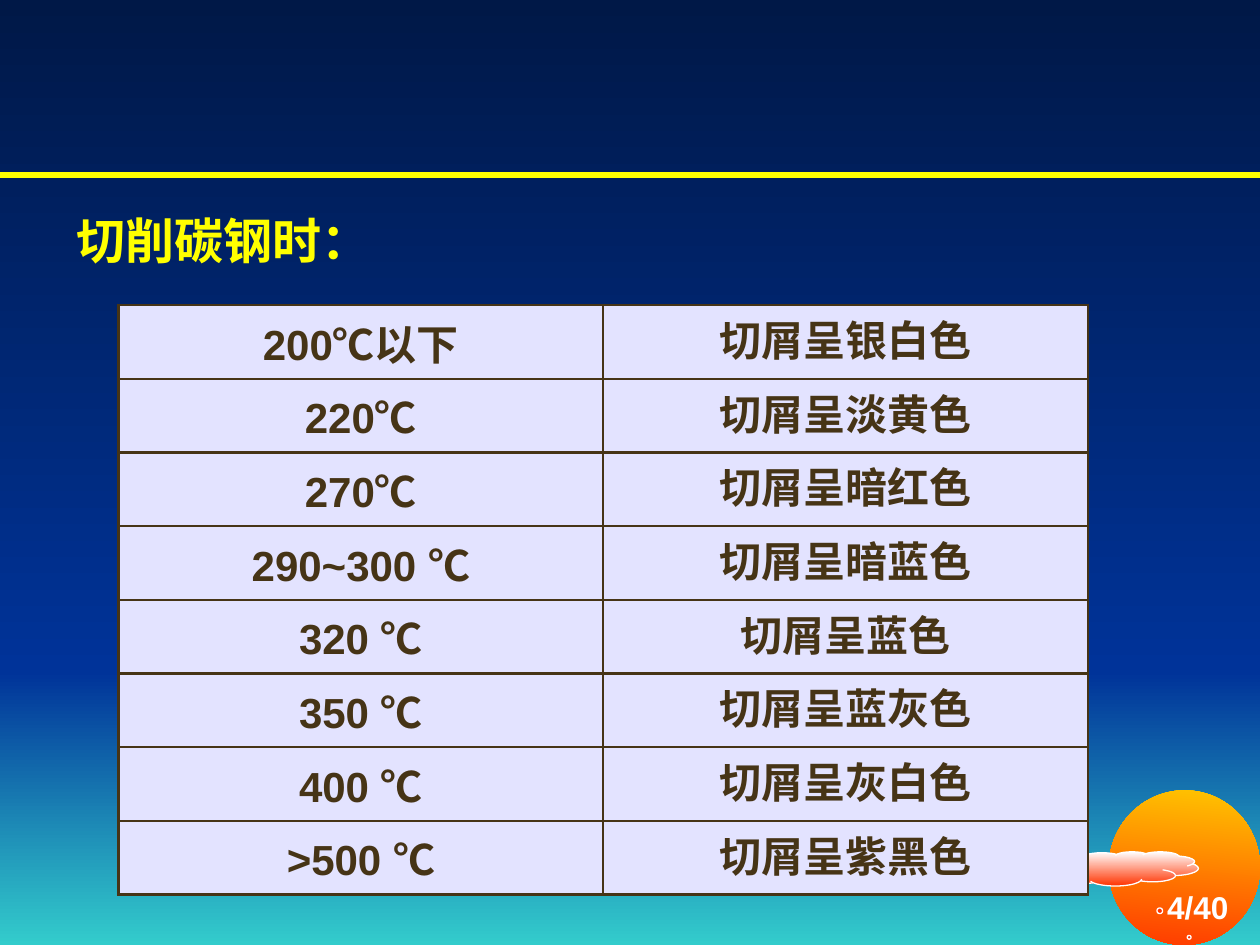
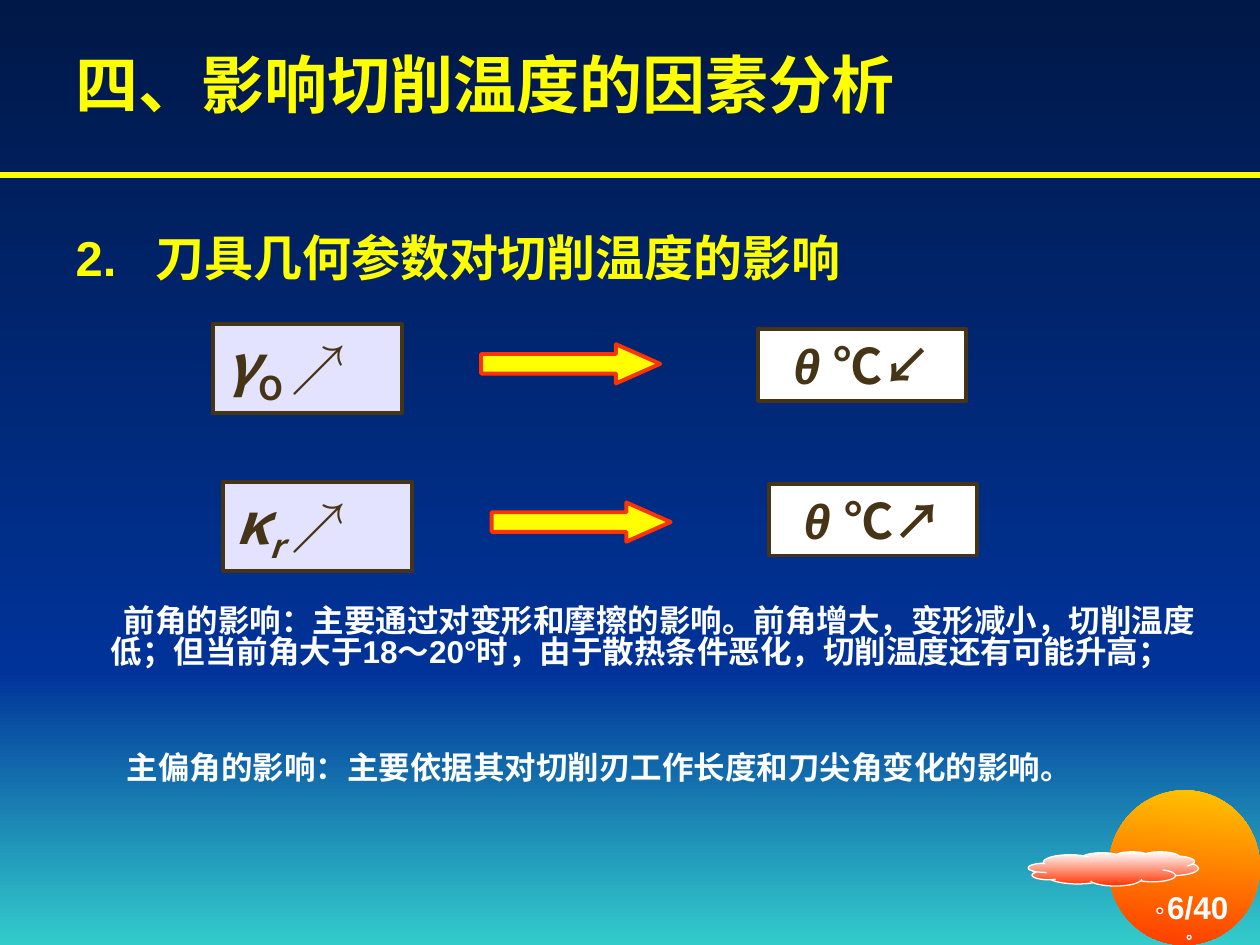
from pptx import Presentation
from pptx import util as u
from pptx.dml.color import RGBColor
from pptx.enum import shapes, text
from pptx.oxml.ns import qn
from lxml import etree

Cm, Pt = u.Cm, u.Pt
KIND = shapes.MSO_SHAPE
MID = text.PP_ALIGN.CENTER
LEFT = text.PP_ALIGN.LEFT
LATIN, HAN = "Arial", "Noto Sans CJK SC"
HUES = {
    "night": "001847", "blue": "003399", "sea": "33CCCC",
    "gold": "FFCC00", "red": "FF3300", "white": "FFFFFF",
    "yellow": "FFFF00", "brown": "463416", "pale": "E3E3FF",
}
PLACE = ("left", "top", "width", "height")
CHIPS = [
    ("200", "℃以下", "银白"),
    ("220", "℃", "淡黄"),
    ("270", "℃", "暗红"),
    ("290~300 ", "℃", "暗蓝"),
    ("320 ", "℃", "蓝"),
    ("350 ", "℃", "蓝灰"),
    ("400 ", "℃", "灰白"),
    (">500 ", "℃", "紫黑"),
]


def hue(name):
    return RGBColor.from_string(HUES[name])


def put(item, vals):
    for key, val in vals.items():
        setattr(item, key, val)


def box(*nums):
    return [Cm(n) for n in nums]


def paint(item, fill, line=None, width=1):
    if isinstance(fill, tuple):
        item.fill.gradient()
        item.fill.gradient_angle = 270
        for stop, name in zip(item.fill.gradient_stops, fill):
            stop.color.rgb = hue(name)
    else:
        item.fill.solid()
        item.fill.fore_color.rgb = hue(fill)
    if line:
        item.line.color.rgb = hue(line)
        item.line.width = Pt(width)
    else:
        item.line.fill.background()


def shape(slide, kind, place, fill, line=None, width=1, adjust=()):
    item = slide.shapes.add_shape(kind, *box(*place))
    item.shadow.inherit = False
    paint(item, fill, line, width)
    for n, val in enumerate(adjust):
        item.adjustments[n] = val
    return item


def write(para, runs, size, color, align=LEFT):
    para.alignment = align
    for words, face, *more in runs:
        run = para.add_run()
        run.text = words
        put(run.font, {"name": face, "size": Pt(size), "bold": True})
        run.font.color.rgb = hue(color)
        props = run._r.get_or_add_rPr()
        etree.SubElement(props, qn("a:ea")).set("typeface", face)
        style = more[0] if more else ""
        run.font.italic = "i" in style
        if "sub" in style:
            props.set("baseline", "-25000")


def label(slide, place, words, size, color, align=LEFT, wrap=True):
    frame = slide.shapes.add_textbox(*box(*place)).text_frame
    frame.word_wrap = wrap
    write(frame.paragraphs[0], [(words, LATIN)], size, color, align)
    return frame


def holder(item, place, words, size, anchor):
    put(item, dict(zip(PLACE, box(*place))))
    frame = item.text_frame
    put(frame, {"auto_size": text.MSO_AUTO_SIZE.NONE,
                "vertical_anchor": anchor, "word_wrap": True})
    para = frame.paragraphs[0]
    props = para._p.get_or_add_pPr()
    put(para, {"space_before": Pt(0)})
    etree.SubElement(props, qn("a:buNone"))
    write(para, [(words, LATIN)], size, "yellow")
    return props


def backdrop(deck, slide):
    rule = slide.shapes
    items = [
        shape(slide, KIND.RECTANGLE, (0, 13.54, 25.4, 5.51), ("blue", "sea")),
        shape(slide, KIND.RECTANGLE, (0, 0, 25.4, 13.54), ("night", "blue")),
        shape(slide, KIND.OVAL, (22.35, 15.93, 3.05, 3.12), ("gold", "red")),
        shape(slide, KIND.CLOUD_CALLOUT, (20.73, 17.17, 3.43, 0.69),
              ("white", "red"), "white", 0.75, (0.61, 2.74)),
        rule.add_connector(shapes.MSO_CONNECTOR.STRAIGHT,
                           *box(0, 3.53, 25.4, 3.53)),
    ]
    items[2].rotation = 5.8
    line = items[-1].line
    line.color.rgb, line.width = hue("yellow"), Pt(3)
    etree.SubElement(items[-1]._element.spPr, qn("a:effectLst"))
    tree = deck.slide_master.shapes._spTree
    for n, item in enumerate(items):
        item._element.xpath(".//p:cNvPr")[0].set("id", str(100 + n))
        tree.append(item._element)


def number(slide, page):
    label(slide, (22.89, 17.78, 2.51, 1.27), f"{page}/40", 18, "white", MID)


def cell(item, runs):
    props = item._tc.get_or_add_tcPr()
    for side in ("lnL", "lnR", "lnT", "lnB"):
        edge = etree.SubElement(props, qn("a:" + side), w=str(Pt(1.5)))
        fill = etree.SubElement(edge, qn("a:solidFill"))
        etree.SubElement(fill, qn("a:srgbClr"), val=HUES["brown"])
    item.fill.solid()
    item.fill.fore_color.rgb = hue("pale")
    item.vertical_anchor = text.MSO_ANCHOR.MIDDLE
    write(item.text_frame.paragraphs[0], runs, 24, "brown", MID)


def chart(slide):
    high = 1.485
    grid = slide.shapes.add_table(
        len(CHIPS), 2, *box(2.39, 6.15, 19.54, high * len(CHIPS))).table
    put(grid, {"first_row": False, "horz_banding": False})
    for n, (heat, unit, tint) in enumerate(CHIPS):
        grid.rows[n].height = Cm(high)
        cell(grid.cell(n, 0), [(heat, LATIN), (unit, HAN)])
        cell(grid.cell(n, 1), [(f"切屑呈{tint}色", LATIN)])


def effect(slide, left, top, drop, cause, trend):
    item = shape(slide, KIND.RECTANGLE, (left, top, 3.81, 1.8),
                 "pale", "brown", 2.25)
    item.text_frame.vertical_anchor = text.MSO_ANCHOR.TOP
    write(item.text_frame.paragraphs[0], cause + [("↗", LATIN)], 32, "brown")
    shape(slide, KIND.RIGHT_ARROW, (left + 5.41, top + 0.41, 3.61, 0.79),
          "yellow", "red", 2.25, (0.5, 1.13))
    item = shape(slide, KIND.RECTANGLE, (left + 11, top + drop, 4.19, 1.45),
                 "white", "brown", 2.25)
    put(item.text_frame, {"margin_left": 0, "margin_right": 0,
                          "vertical_anchor": text.MSO_ANCHOR.MIDDLE})
    write(item.text_frame.paragraphs[0],
          [("θ ", LATIN, "i"), ("℃" + trend, HAN)], 28, "brown", MID)


def colors(slide):
    chart(slide)
    label(slide, (1.3, 4.11, 10.8, 1.45), "切削碳钢时：", 28, "yellow")
    number(slide, 4)


def angles(slide):
    holder(slide.shapes.title, (1.27, 0.64, 22.86, 2.08),
           "四、影响切削温度的因素分析", 36, text.MSO_ANCHOR.MIDDLE)
    props = holder(slide.placeholders[1], (1.27, 4.45, 22.86, 1.68),
                   "2.\t刀具几何参数对切削温度的影响", 28, text.MSO_ANCHOR.TOP)
    put_indent = {"marL": Cm(1.61), "indent": -Cm(1.61)}
    for key, val in put_indent.items():
        props.set(key, str(val))
    effect(slide, 4.29, 6.53, 0.1,
           [("γ", HAN, "i"), ("O ", HAN, "sub")], "↙")
    effect(slide, 4.5, 9.72, 0.03,
           [("κ", HAN, "i"), ("r ", HAN, "i sub")], "↗")
    rake = label(slide, (1.98, 12.12, 22.63, 2.54),
                 "前角的影响：主要通过对变形和摩擦的影响。前角增大，变形减小，切削温度",
                 18, "white", MID)
    write(rake.add_paragraph(),
          [("低；但当前角大于18～20°时，由于散热条件恶化，切削温度还有可能升高；",
            LATIN)], 18, "white")
    lead = label(slide, (2.24, 15.09, 19.69, 1.78),
                 "主偏角的影响：主要依据其对切削刃工作长度和刀尖角变化的影响。",
                 18, "white", MID, False)
    for para in (*rake.paragraphs, *lead.paragraphs):
        para.line_spacing = 0.83
    number(slide, 6)


def main():
    deck = Presentation()
    put(deck, {"slide_width": Cm(25.4), "slide_height": Cm(19.05)})
    first = deck.slides.add_slide(deck.slide_layouts[6])
    backdrop(deck, first)
    colors(first)
    angles(deck.slides.add_slide(deck.slide_layouts[1]))
    deck.save("out.pptx")


if __name__ == "__main__":
    main()
